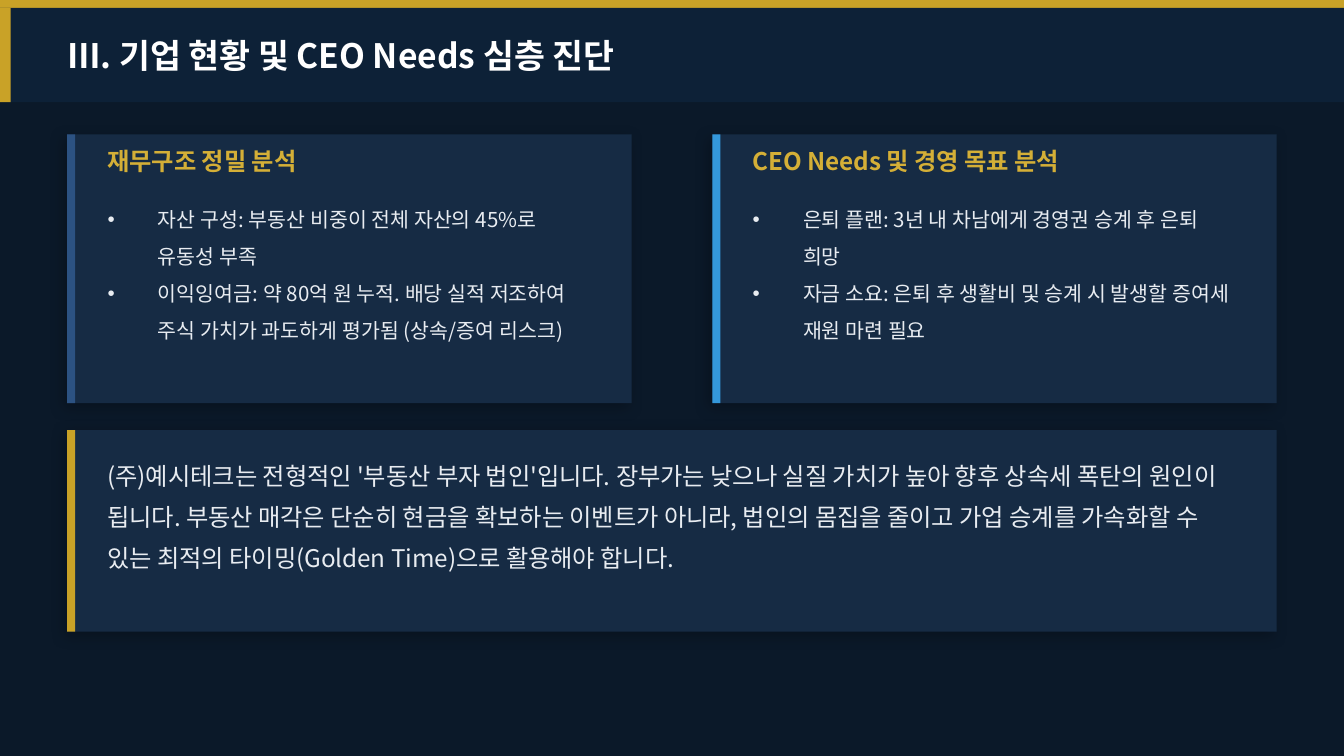
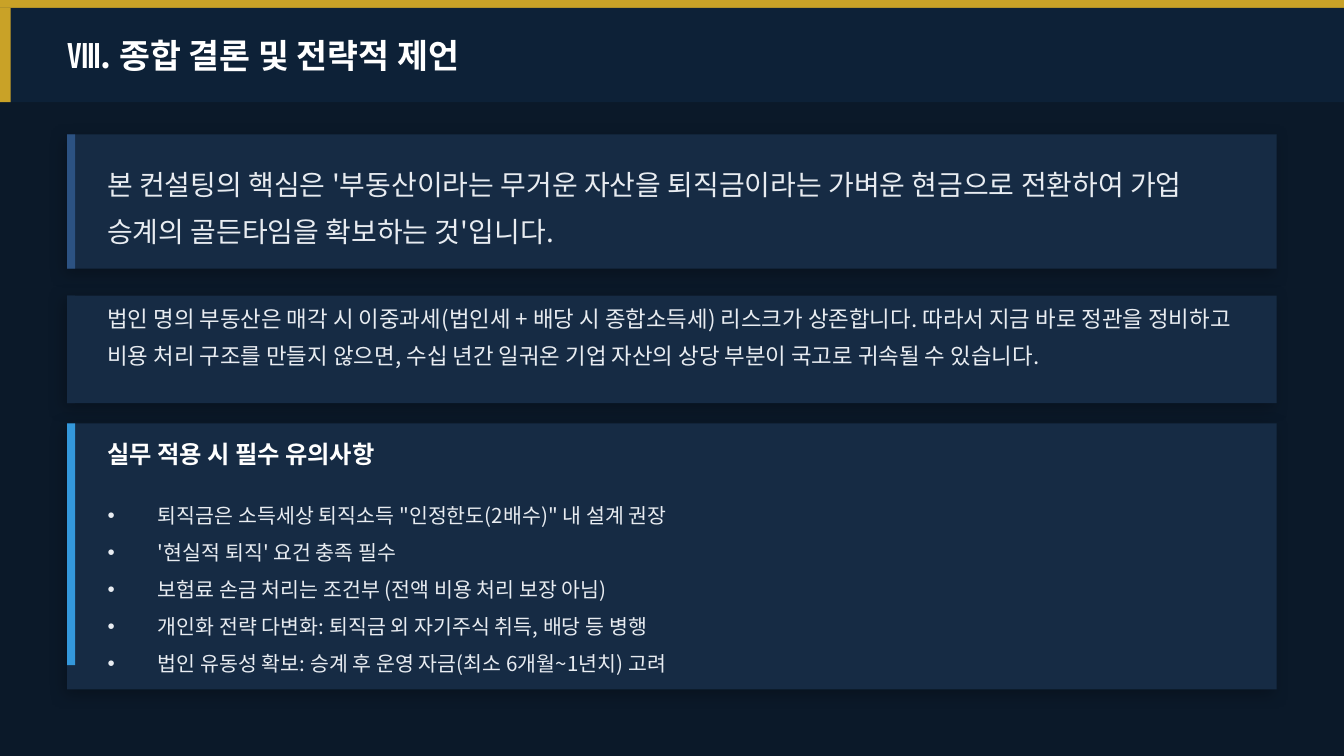
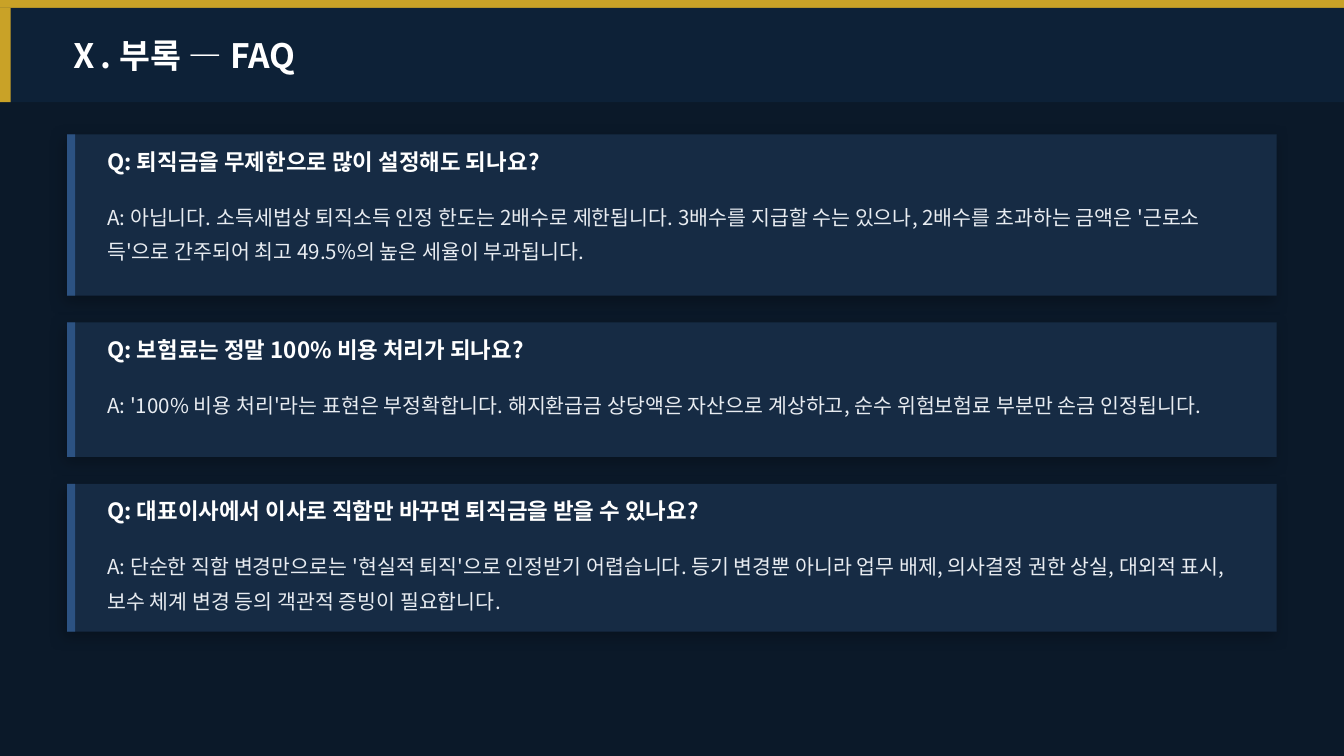
import pptx
import pptx.dml.color
import pptx.enum.shapes
import pptx.enum.text
import pptx.oxml
import pptx.oxml.ns
import pptx.util
from lxml import etree

Inches = pptx.util.Inches
Pt = pptx.util.Pt
RGBColor = pptx.dml.color.RGBColor
ANCHOR = pptx.enum.text.MSO_ANCHOR
qn = pptx.oxml.ns.qn

NAVY = RGBColor(0x0B, 0x19, 0x29)
BAND = RGBColor(0x0D, 0x21, 0x37)
CARD = RGBColor(0x16, 0x2B, 0x44)
GOLD = RGBColor(0xC9, 0xA2, 0x27)
HEADING_GOLD = RGBColor(0xD4, 0xAF, 0x37)
BLUE = RGBColor(0x2C, 0x52, 0x82)
SKY = RGBColor(0x34, 0x98, 0xDB)
WHITE = RGBColor(0xFF, 0xFF, 0xFF)
PALE = RGBColor(0xE8, 0xEC, 0xF1)

FONT = "Noto Sans CJK KR"
LEFT, TOP, WIDTH = 0.5, 1, 9      # content area
GAP = 0.2                         # between cards, and from card edge to text
BAR = 0.06                        # thickness of accent bars

TITLE_ONLY, TITLE_BODY, TITLE_TWO_BODIES = 5, 1, 3

SHADOW = (
    '<a:effectLst xmlns:a="http://schemas.openxmlformats.org/drawingml/2006/main">'
    '<a:outerShdw blurRad="%d" dist="%d" dir="%d" algn="bl" rotWithShape="0">'
    '<a:srgbClr val="000000"><a:alpha val="25000"/></a:srgbClr>'
    '</a:outerShdw></a:effectLst>' % (Pt(8), Pt(3), 135 * 60000))


# Shared helpers

def add_rect(s, x, y, w, h, color, shadow=False):
    sp = s.shapes.add_shape(pptx.enum.shapes.MSO_SHAPE.RECTANGLE,
                            Inches(x), Inches(y), Inches(w), Inches(h))
    sp.fill.solid()
    sp.fill.fore_color.rgb = color
    sp.line.fill.background()
    sp.shadow.inherit = False
    if shadow:
        spPr = sp._element.spPr
        spPr.replace(spPr.find(qn("a:effectLst")), pptx.oxml.parse_xml(SHADOW))


def add_bullet(p, indent=Pt(27)):
    pPr = p._p.get_or_add_pPr()
    pPr.set("marL", str(indent))
    pPr.set("indent", str(-indent))
    etree.SubElement(pPr, qn("a:buChar")).set("char", "•")


def write(sp, text, size, color, bold=False, spacing=1.0,
          anchor=ANCHOR.TOP, bullets=False):
    tf = sp.text_frame
    tf.text = text
    tf.word_wrap = True
    tf.auto_size = pptx.enum.text.MSO_AUTO_SIZE.NONE
    tf.vertical_anchor = anchor
    for p in tf.paragraphs:
        p.alignment = pptx.enum.text.PP_ALIGN.LEFT
        p.line_spacing = spacing
        p.space_before = Pt(0)
        if bullets:
            add_bullet(p)
        for r in p.runs:
            r.font.name = FONT
            r.font.size = Pt(size)
            r.font.bold = bold
            r.font.color.rgb = color
            etree.SubElement(r._r.get_or_add_rPr(), qn("a:ea")).set("typeface", FONT)


def place(s, ph, x, y, w, h):
    """Move a placeholder and bring it to the front."""
    ph.left, ph.top = Inches(x), Inches(y)
    ph.width, ph.height = Inches(w), Inches(h)
    s.shapes._spTree.append(ph._element)


def add_text(s, x, y, w, h, text, size, color, **style):
    sp = s.shapes.add_textbox(Inches(x), Inches(y), Inches(w), Inches(h))
    write(sp, text, size, color, **style)


# Regions

def new_slide(prs, layout, title):
    """Slide with the gold strip, title band and title."""
    s = prs.slides.add_slide(prs.slide_layouts[layout])
    band_h = 0.7
    add_rect(s, 0, 0, 10, BAR, GOLD)
    add_rect(s, 0, BAR, 10, band_h, BAND)
    add_rect(s, 0, BAR, 0.08, band_h, GOLD)
    sp = s.shapes.title
    place(s, sp, LEFT, BAR, WIDTH, band_h)
    write(sp, title, 18, WHITE, bold=True, anchor=ANCHOR.MIDDLE)
    tf = sp.text_frame
    tf.margin_left = tf.margin_right = tf.margin_top = tf.margin_bottom = 0
    return s


def add_card(s, x, y, w, h, accent, bar_h=None):
    add_rect(s, x, y, w, h, CARD, shadow=True)
    add_rect(s, x, y, BAR, bar_h or h, accent)


def add_heading(s, x, y, w, text, size, color, h=0.3):
    add_text(s, x + GAP, y + 0.05, w - 2 * GAP, h, text, size, color,
             bold=True, anchor=ANCHOR.MIDDLE)


def add_message(s, x, y, w, h, text, size, offset=0.1):
    """Running text inside a card."""
    add_text(s, x + GAP, y + offset, w - 2 * GAP, h, text, size, PALE, spacing=1.4)


def add_list(s, ph, x, y, w, h, items):
    """Bulleted list inside a card, held by a body placeholder."""
    place(s, ph, x + GAP, y, w - 2 * GAP, h)
    write(ph, "\n".join(items), 11, PALE, spacing=1.5, bullets=True)


# Slides

def diagnosis_slide(prs):
    s = new_slide(prs, TITLE_TWO_BODIES, "Ⅲ. 기업 현황 및 CEO Needs 심층 진단")
    columns = [
        ("재무구조 정밀 분석", BLUE,
         ["자산 구성: 부동산 비중이 전체 자산의 45%로 유동성 부족",
          "이익잉여금: 약 80억 원 누적. 배당 실적 저조하여 주식 가치가 "
          "과도하게 평가됨 (상속/증여 리스크)"]),
        ("CEO Needs 및 경영 목표 분석", SKY,
         ["은퇴 플랜: 3년 내 차남에게 경영권 승계 후 은퇴 희망",
          "자금 소요: 은퇴 후 생활비 및 승계 시 발생할 증여세 재원 마련 필요"]),
    ]
    card_w, card_h = 4.2, 2
    bodies = list(s.placeholders)[1:]
    # The layout also holds two small heading placeholders
    for i, (heading, accent, items) in enumerate(columns):
        x = LEFT + i * (WIDTH - card_w)
        add_card(s, x, TOP, card_w, card_h, accent)
        add_heading(s, x, TOP, card_w, heading, 13, HEADING_GOLD)
        add_list(s, bodies[i], x, TOP + 0.4, card_w, 1.4, items)

    y = TOP + card_h + GAP
    add_card(s, LEFT, y, WIDTH, 1.5, GOLD)
    add_message(s, LEFT, y, WIDTH, 1.3,
                "(주)예시테크는 전형적인 '부동산 부자 법인'입니다. 장부가는 낮으나 "
                "실질 가치가 높아 향후 상속세 폭탄의 원인이 됩니다. 부동산 매각은 "
                "단순히 현금을 확보하는 이벤트가 아니라, 법인의 몸집을 줄이고 가업 "
                "승계를 가속화할 수 있는 최적의 타이밍(Golden Time)으로 활용해야 합니다.", 13)


def conclusion_slide(prs):
    s = new_slide(prs, TITLE_BODY, "Ⅷ. 종합 결론 및 전략적 제언")

    # Core message
    add_card(s, LEFT, TOP, WIDTH, 1, BLUE)
    add_message(s, LEFT, TOP, WIDTH, 0.8,
                "본 컨설팅의 핵심은 '부동산이라는 무거운 자산을 퇴직금이라는 가벼운 "
                "현금으로 전환하여 가업 승계의 골든타임을 확보하는 것'입니다.", 15)

    # Risk
    y = TOP + 1 + GAP
    add_card(s, LEFT, y, WIDTH, 0.8, CARD)
    add_message(s, LEFT, y, WIDTH, 0.6,
                "법인 명의 부동산은 매각 시 이중과세(법인세 + 배당 시 종합소득세) "
                "리스크가 상존합니다. 따라서 지금 바로 정관을 정비하고 비용 처리 구조를 "
                "만들지 않으면, 수십 년간 일궈온 기업 자산의 상당 부분이 국고로 귀속될 "
                "수 있습니다.", 12, offset=-0.06)

    # Cautions
    y = 3.15
    add_card(s, LEFT, y, WIDTH, 1.98, SKY, bar_h=1.8)
    add_heading(s, LEFT, y, WIDTH, "실무 적용 시 필수 유의사항", 13, WHITE, h=0.35)
    add_list(s, s.placeholders[1], LEFT, y + 0.45, WIDTH, 1.2, [
        "퇴직금은 소득세상 퇴직소득 \"인정한도(2배수)\" 내 설계 권장",
        "'현실적 퇴직' 요건 충족 필수",
        "보험료 손금 처리는 조건부 (전액 비용 처리 보장 아님)",
        "개인화 전략 다변화: 퇴직금 외 자기주식 취득, 배당 등 병행",
        "법인 유동성 확보: 승계 후 운영 자금(최소 6개월~1년치) 고려",
    ])


def faq_slide(prs):
    s = new_slide(prs, TITLE_ONLY, "Ⅹ. 부록 — FAQ")
    faqs = [
        (1.2, "Q: 퇴직금을 무제한으로 많이 설정해도 되나요?",
         "A: 아닙니다. 소득세법상 퇴직소득 인정 한도는 2배수로 제한됩니다. 3배수를 "
         "지급할 수는 있으나, 2배수를 초과하는 금액은 '근로소득'으로 간주되어 최고 "
         "49.5%의 높은 세율이 부과됩니다."),
        (1, "Q: 보험료는 정말 100% 비용 처리가 되나요?",
         "A: '100% 비용 처리'라는 표현은 부정확합니다. 해지환급금 상당액은 자산으로 "
         "계상하고, 순수 위험보험료 부분만 손금 인정됩니다."),
        (1.1, "Q: 대표이사에서 이사로 직함만 바꾸면 퇴직금을 받을 수 있나요?",
         "A: 단순한 직함 변경만으로는 '현실적 퇴직'으로 인정받기 어렵습니다. 등기 "
         "변경뿐 아니라 업무 배제, 의사결정 권한 상실, 대외적 표시, 보수 체계 변경 "
         "등의 객관적 증빙이 필요합니다."),
    ]
    y = TOP
    for h, question, answer in faqs:
        add_card(s, LEFT, y, WIDTH, h, BLUE)
        add_heading(s, LEFT, y, WIDTH, question, 12, WHITE)
        add_message(s, LEFT, y, WIDTH, h - 0.5, answer, 11, offset=0.4)
        y += h + GAP


def main():
    prs = pptx.Presentation()
    prs.slide_width = Inches(10)
    prs.slide_height = Inches(10 * 9 / 16)
    fill = prs.slide_master.background.fill
    fill.solid()
    fill.fore_color.rgb = NAVY
    diagnosis_slide(prs)
    conclusion_slide(prs)
    faq_slide(prs)
    prs.save("out.pptx")


if __name__ == "__main__":
    main()
